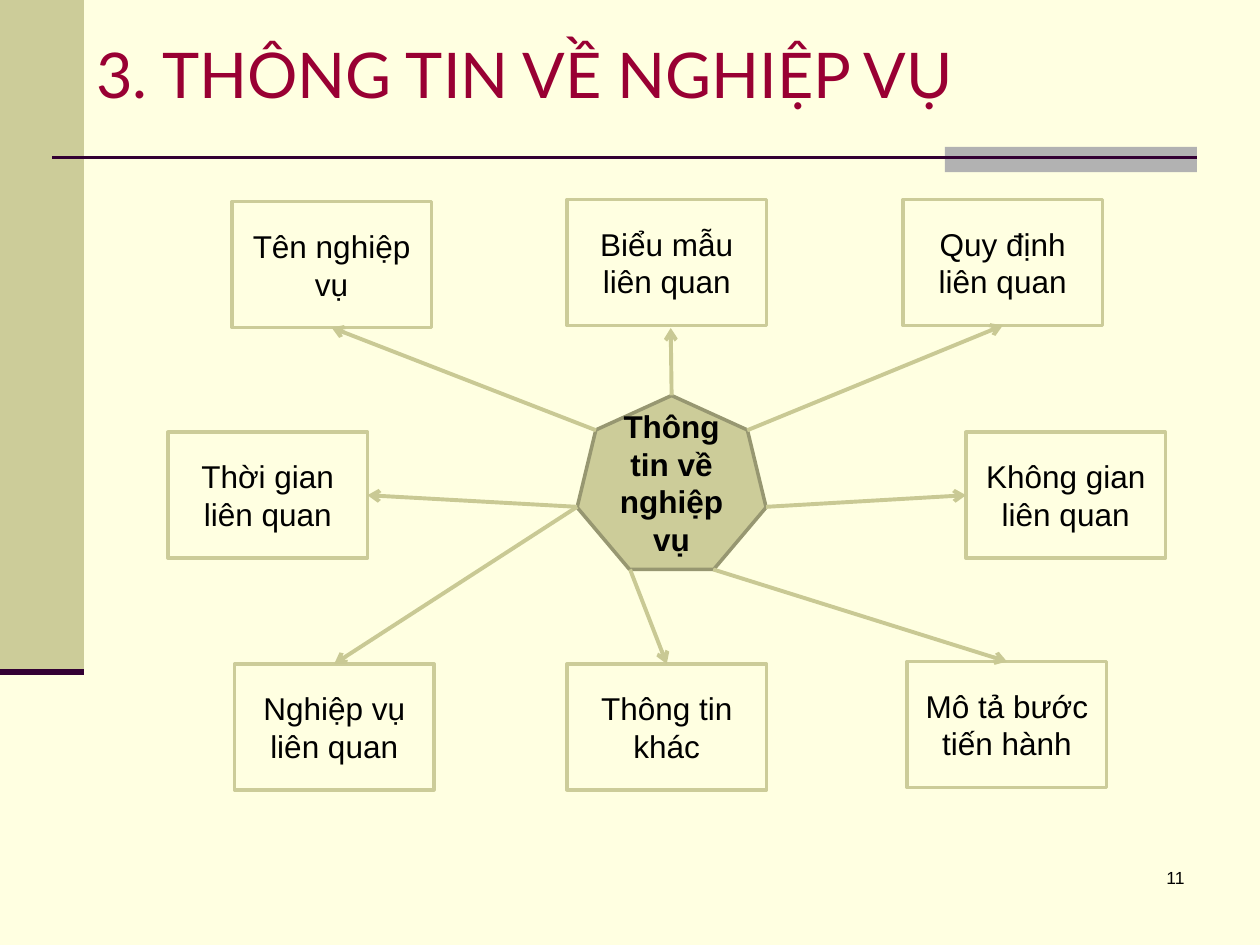
import dataclasses
import typing

import lxml.etree
import pptx
import pptx.dml.color
import pptx.enum.shapes
import pptx.enum.text
import pptx.oxml.ns
import pptx.util

Pt = pptx.util.Pt
Rgb = pptx.dml.color.RGBColor.from_string
Kind = pptx.enum.shapes.MSO_SHAPE
Align = pptx.enum.text.PP_ALIGN
Anchor = pptx.enum.text.MSO_ANCHOR
qn = pptx.oxml.ns.qn


@dataclasses.dataclass(frozen=True)
class Theme:
    paper: str = "FFFFE1"
    sand: str = "CCCC99"
    edge: str = "979771"
    arrow: str = "C9C994"
    gray: str = "B2B2B2"
    plum: str = "330033"
    wine: str = "990033"
    ink: str = "000000"
    head: str = "Lato"
    body: str = "Arial"
    large: float = 36
    medium: float = 18
    small: float = 10


class Area(typing.NamedTuple):
    left: float
    top: float
    width: float
    height: float

    def spot(self, across: float, down: float) -> tuple[float, float]:
        return self.left + across * self.width, self.top + down * self.height


class Topic(typing.NamedTuple):
    text: str
    left: float
    top: float
    corner: str                # hub corner where the arrow starts
    tip: tuple[float, float]   # arrow end, as shares of the box size


THEME = Theme()
WIDTH, HEIGHT = 114, 72
HUB = Area(329.8, 226, 108, 99.4)

# Hub corners, as shares of its size
CORNERS = {
    "top": (0.5, 0),
    "upper right": (0.9, 0.2),
    "right": (1, 0.64),
    "lower right": (0.72, 1),
    "lower left": (0.28, 1),
    "left": (0, 0.64),
    "upper left": (0.1, 0.2),
}
ABOVE, BELOW, WEST, EAST = (0.5, 0), (0.5, 1), (0, 0.5), (1, 0.5)

TOPICS = [
    Topic("Tên nghiệp vụ", 132.5, 115.2, "upper left", BELOW),
    Topic("Biểu mẫu liên quan", 324, 114, "top", (0.52, 1.02)),
    Topic("Quy định liên quan", 516, 114, "upper right", BELOW),
    Topic("Thời gian liên quan", 96, 247, "left", EAST),
    Topic("Không gian liên quan", 552, 247, "right", WEST),
    Topic("Nghiệp vụ liên quan", 134, 379.4, "left", ABOVE),
    Topic("Thông tin khác", 324, 379.4, "lower left", ABOVE),
    Topic("Mô tả bước tiến hành", 518.4, 378, "lower right", ABOVE),
]


def write(shape, text: str, size: float, color: str, face: str = THEME.body,
          bold: bool = False, align=Align.CENTER, anchor=Anchor.MIDDLE) -> None:
    frame = shape.text_frame
    frame.word_wrap = True
    frame.vertical_anchor = anchor
    para = frame.paragraphs[0]
    para.text = text
    para.alignment = align
    font = para.font
    font.name, font.size, font.bold = face, Pt(size), bold
    font.color.rgb = Rgb(color)


def block(slide, area: Area, fill: str, line: str | None = None,
          kind=Kind.RECTANGLE):
    shape = slide.shapes.add_shape(kind, *map(Pt, area))
    shape.shadow.inherit = False
    shape.fill.solid()
    shape.fill.fore_color.rgb = Rgb(fill)
    if line:
        shape.line.color.rgb = Rgb(line)
        shape.line.width = Pt(2)
    else:
        shape.line.fill.background()
    return shape


def rule(slide, start: tuple[float, float], end: tuple[float, float],
         color: str, width: float, arrow: bool = False) -> None:
    link = slide.shapes.add_connector(
        pptx.enum.shapes.MSO_CONNECTOR.STRAIGHT, *map(Pt, start + end))
    link.line.color.rgb = Rgb(color)
    link.line.width = Pt(width)
    props = link.element.find(qn("p:spPr"))
    if arrow:
        lxml.etree.SubElement(props.find(qn("a:ln")), qn("a:tailEnd"), type="arrow")
    lxml.etree.SubElement(props, qn("a:effectLst"))


def label(slide, area: Area, *args, **style) -> None:
    write(slide.shapes.add_textbox(*map(Pt, area)), *args, **style)


def frame(slide) -> None:
    # Side band, title rule and its gray end
    block(slide, Area(0, 0, 48, 384), THEME.sand)
    block(slide, Area(540, 84, 144, 14.4), THEME.gray)
    rule(slide, (30, 90), (684, 90), THEME.plum, 1.5)
    rule(slide, (0, 384), (48, 384), THEME.plum, 3.5)

    # Title and page number
    label(slide, Area(48, 0, 672, 84), "3. THÔNG TIN VỀ NGHIỆP VỤ",
          THEME.large, THEME.wine, face=THEME.head, align=Align.LEFT)
    label(slide, Area(534, 492, 150, 36), "11", THEME.small, THEME.ink,
          align=Align.RIGHT, anchor=Anchor.TOP)


def diagram(slide) -> None:
    # Hub in the middle
    hub = block(slide, HUB, THEME.sand, THEME.edge, Kind.HEPTAGON)
    write(hub, "Thông tin về nghiệp vụ", THEME.medium, THEME.ink, bold=True)

    # Topics around it, each with its arrow
    for topic in TOPICS:
        area = Area(topic.left, topic.top, WIDTH, HEIGHT)
        box = block(slide, area, THEME.paper, THEME.sand)
        write(box, topic.text, THEME.medium, THEME.ink)
        rule(slide, HUB.spot(*CORNERS[topic.corner]), area.spot(*topic.tip),
             THEME.arrow, 2.25, arrow=True)


def main() -> None:
    deck = pptx.Presentation()
    deck.slide_width, deck.slide_height = Pt(720), Pt(540)
    slide = deck.slides.add_slide(deck.slide_layouts[6])
    slide.background.fill.solid()
    slide.background.fill.fore_color.rgb = Rgb(THEME.paper)
    frame(slide)
    diagram(slide)
    deck.save("out.pptx")


if __name__ == "__main__":
    main()
